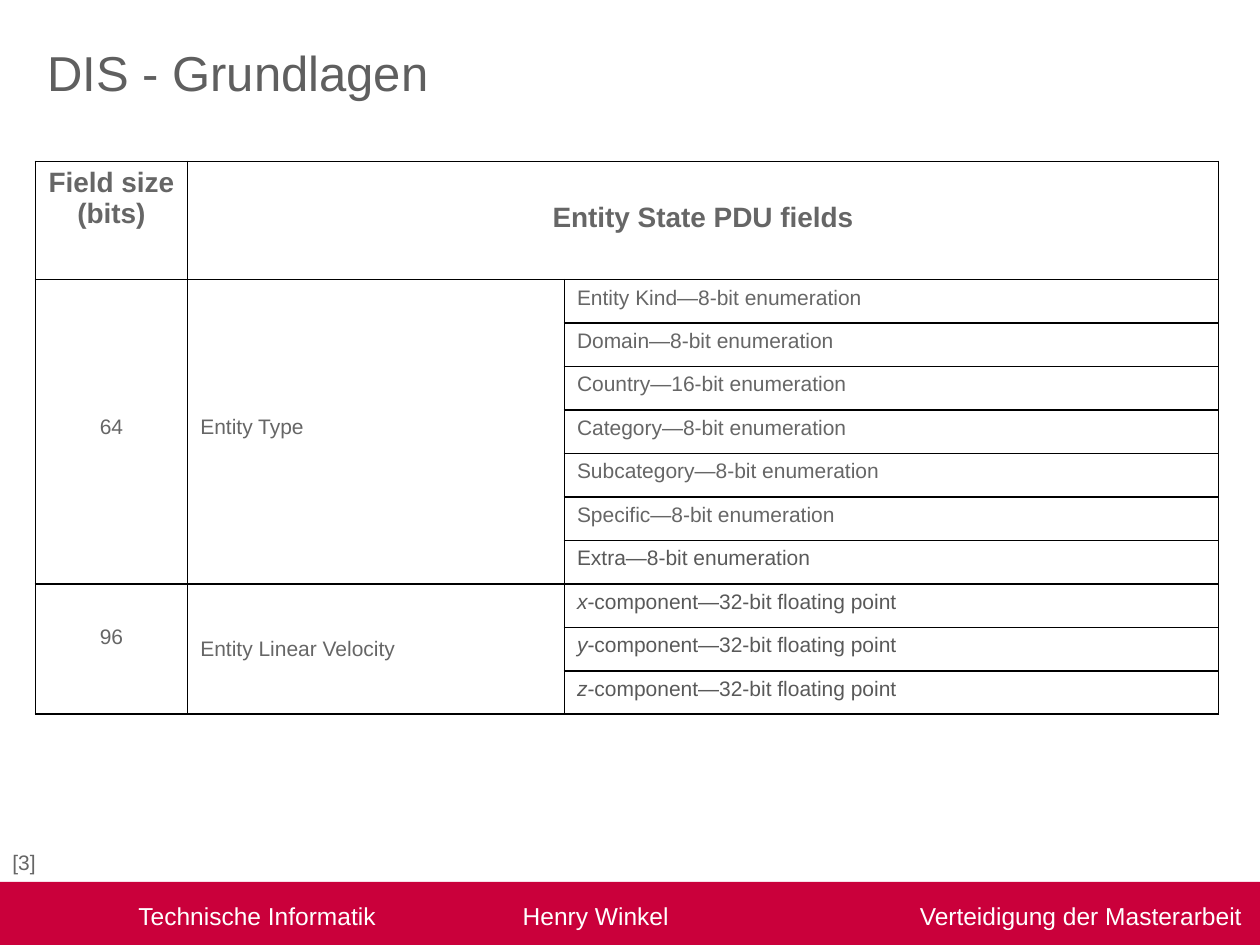
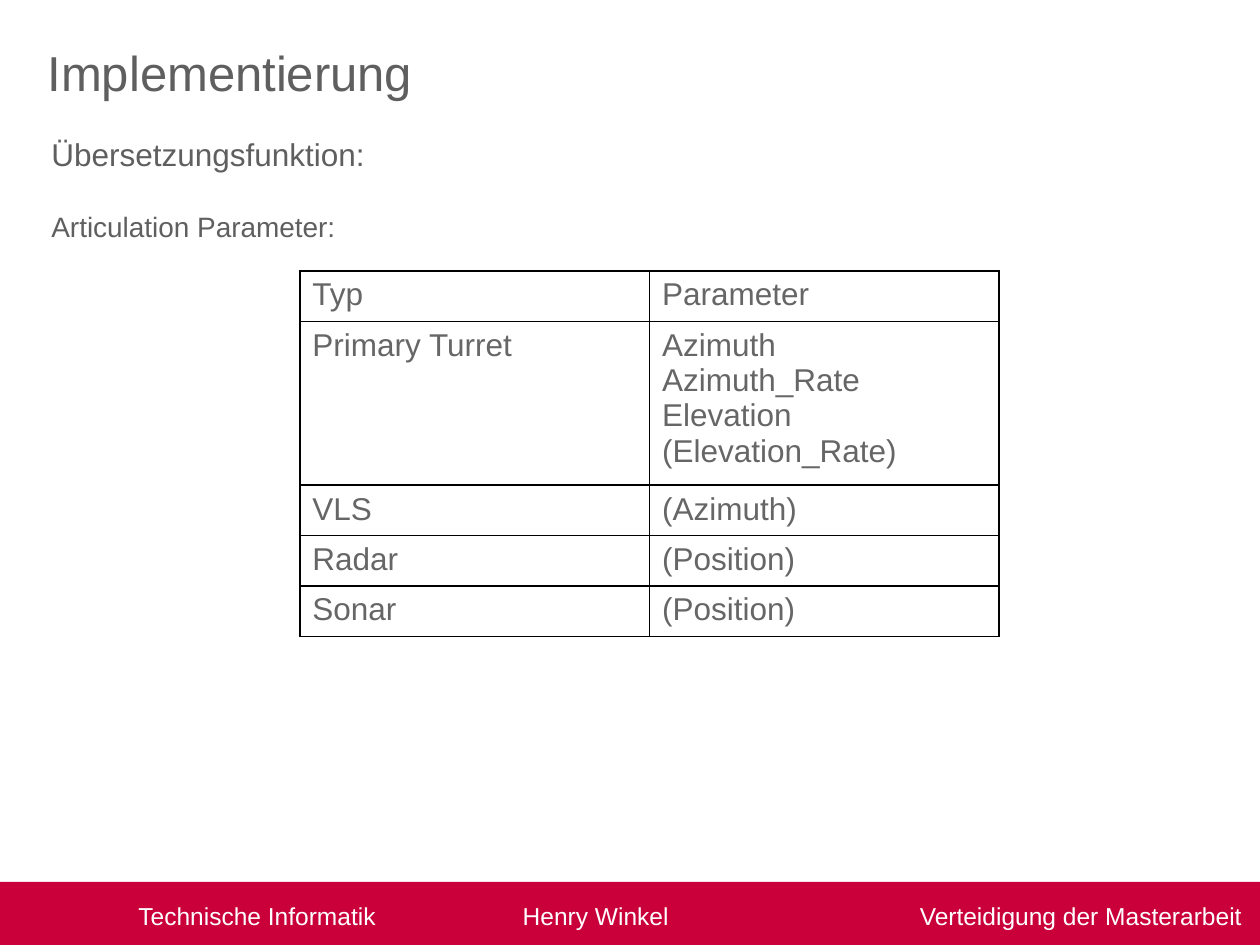
from lxml.etree import SubElement
from pptx import Presentation
from pptx.dml.color import RGBColor as RGB
from pptx.enum.shapes import MSO_SHAPE as SHAPE
from pptx.enum.text import MSO_ANCHOR as ANCHOR, PP_ALIGN as ALIGN
from pptx.oxml.ns import qn
from pptx.util import Emu, Pt

PX = 9144  # 100 px to the inch
FONT = "Arial"
COLORS = {"white": "FFFFFF", "band": "CA003B", "title": "5F5F5F",
          "text": "666666", "dark": "595959", "border": "000000"}
FOOTER = "\tTechnische Informatik\tHenry Winkel\tVerteidigung der Masterarbeit"
FOOTER_TABS = [(100, "l"), (405, "l"), (976, "r")]


def px(n):
    return Emu(round(n * PX))


def rgb(name):
    return RGB.from_string(COLORS[name])


class Deck:
    def __init__(self, w, h):
        self.prs = Presentation()
        self.prs.slide_width, self.prs.slide_height = px(w), px(h)
        self.s = None

    # Shared frame: red footer band and title
    def slide(self, title):
        self.s = self.prs.slides.add_slide(self.prs.slide_layouts[6])
        self.footer()
        self.text(28, 29, 787, 79, [title], size=28, color="title")

    def footer(self):
        sp = self.s.shapes.add_shape(SHAPE.RECTANGLE, px(0), px(700), px(1000), px(54))
        sp.shadow.inherit = False
        sp.fill.solid()
        sp.fill.fore_color.rgb = rgb("band")
        sp.line.fill.background()
        tf = sp.text_frame
        tf.vertical_anchor = ANCHOR.MIDDLE
        p = tf.paragraphs[0]
        p.alignment = ALIGN.LEFT
        self.run(p, FOOTER, size=14, color="white")
        tabs = SubElement(p._p.get_or_add_pPr(), qn("a:tabLst"))
        for pos, algn in FOOTER_TABS:
            SubElement(tabs, qn("a:tab"), pos=str(px(pos)), algn=algn)

    def run(self, p, text, color="text", size=12, **fmt):
        r = p.add_run()
        r.text = text
        for key, value in {"name": FONT, "size": Pt(size), **fmt}.items():
            setattr(r.font, key, value)
        r.font.color.rgb = rgb(color)

    def lines(self, tf, items, **fmt):
        """Write one paragraph per item; an item is a string or a list of (text, format)."""
        for i, item in enumerate(items):
            p = tf.add_paragraph() if i else tf.paragraphs[0]
            runs = [(item, {})] if isinstance(item, str) else item
            for text, extra in runs:
                self.run(p, text, **{**fmt, **extra})

    def text(self, x, y, w, h, items, **fmt):
        tf = self.s.shapes.add_textbox(px(x), px(y), px(w), px(h)).text_frame
        tf.word_wrap = True
        self.lines(tf, items, **fmt)
        return tf

    def table(self, x, y, cols, rows, border):
        shape = self.s.shapes.add_table(len(rows), len(cols), px(x), px(y),
                                        px(sum(cols)), px(sum(rows)))
        tbl = shape.table
        tbl.first_row = tbl.horz_banding = False
        for col, w in zip(tbl.columns, cols):
            col.width = px(w)
        for row, h in zip(tbl.rows, rows):
            row.height = px(h)
        for cell in tbl.iter_cells():
            self.borders(cell, border)
            cell.fill.solid()
            cell.fill.fore_color.rgb = rgb("white")
        return tbl

    def borders(self, cell, width):
        tcPr = cell._tc.get_or_add_tcPr()
        for side in ("lnL", "lnR", "lnT", "lnB"):
            ln = SubElement(tcPr, qn(f"a:{side}"), w=str(Pt(width)))
            fill = SubElement(ln, qn("a:solidFill"))
            SubElement(fill, qn("a:srgbClr"), val=COLORS["border"])

    def cell(self, cell, items, align=ALIGN.LEFT, anchor=ANCHOR.TOP, bottom=5, **fmt):
        self.lines(cell.text_frame, items, **fmt)
        for p in cell.text_frame.paragraphs:
            p.alignment = align
        cell.vertical_anchor = anchor
        cell.margin_bottom = px(bottom)


def pdu_slide(d):
    d.slide("DIS - Grundlagen")
    citation = d.text(0, 669, 40, 30, ["[3]"])
    citation.margin_right = 0

    kinds = [("Entity Kind", 8), ("Domain", 8), ("Country", 16), ("Category", 8),
             ("Subcategory", 8), ("Specific", 8), ("Extra", 8)]
    axes = "xyz"
    count = len(kinds) + len(axes)
    tbl = d.table(28, 128, [121, 299, 519], [94] + [34.5] * count, 0.96)

    # Header row and group cells
    first_axis = len(kinds) + 1
    for top, left, end_row, end_col in [(0, 1, 0, 2),
                                        (1, 0, len(kinds), 0), (1, 1, len(kinds), 1),
                                        (first_axis, 0, count, 0), (first_axis, 1, count, 1)]:
        tbl.cell(top, left).merge(tbl.cell(end_row, end_col))
    head = {"size": 16, "bold": True, "align": ALIGN.CENTER}
    mid = {"anchor": ANCHOR.MIDDLE}
    d.cell(tbl.cell(0, 0), ["Field size (bits)"], **head)
    d.cell(tbl.cell(0, 1), ["Entity State PDU fields"], bottom=9, **head, **mid)
    for row, bits, name, bits_bottom, name_bottom in [
            (1, "64", "Entity Type", 13, 13),
            (first_axis, "96", "Entity Linear Velocity", 24, 5)]:
        d.cell(tbl.cell(row, 0), [bits], align=ALIGN.CENTER, bottom=bits_bottom, **mid)
        d.cell(tbl.cell(row, 1), [name], bottom=name_bottom, **mid)

    # Field rows
    for i, (name, bits) in enumerate(kinds, 1):
        color = "dark" if name == "Extra" else "text"
        d.cell(tbl.cell(i, 2), [f"{name}—{bits}-bit enumeration"], color=color)
    for i, axis in enumerate(axes, first_axis):
        runs = [(axis, {"italic": True}), ("-component—32-bit floating point", {})]
        d.cell(tbl.cell(i, 2), [runs], color="dark")


def parameter_slide(d):
    d.slide("Implementierung")
    tf = d.text(31, 102, 354, 42,
                ["Übersetzungsfunktion:", [("Articulation Parameter:", {"size": 16})]],
                size=18, color="title")
    tf.paragraphs[1].space_before = Pt(21)

    # Parameters by type
    rows = [("Typ", ["Parameter"]),
            ("Primary Turret", ["Azimuth", "Azimuth_Rate", "Elevation", "(Elevation_Rate)"]),
            ("VLS", ["(Azimuth)"]),
            ("Radar", ["(Position)"]),
            ("Sonar", ["(Position)"])]
    heights = [123 if len(params) > 1 else 40 for _, params in rows]
    tbl = d.table(238, 215, [277.5] * 2, heights, 1)
    for i, (kind, params) in enumerate(rows):
        d.cell(tbl.cell(i, 0), [kind], size=18)
        d.cell(tbl.cell(i, 1), params, size=18)


def main():
    d = Deck(1000, 750)
    pdu_slide(d)
    parameter_slide(d)
    d.prs.save("out.pptx")


if __name__ == "__main__":
    main()
